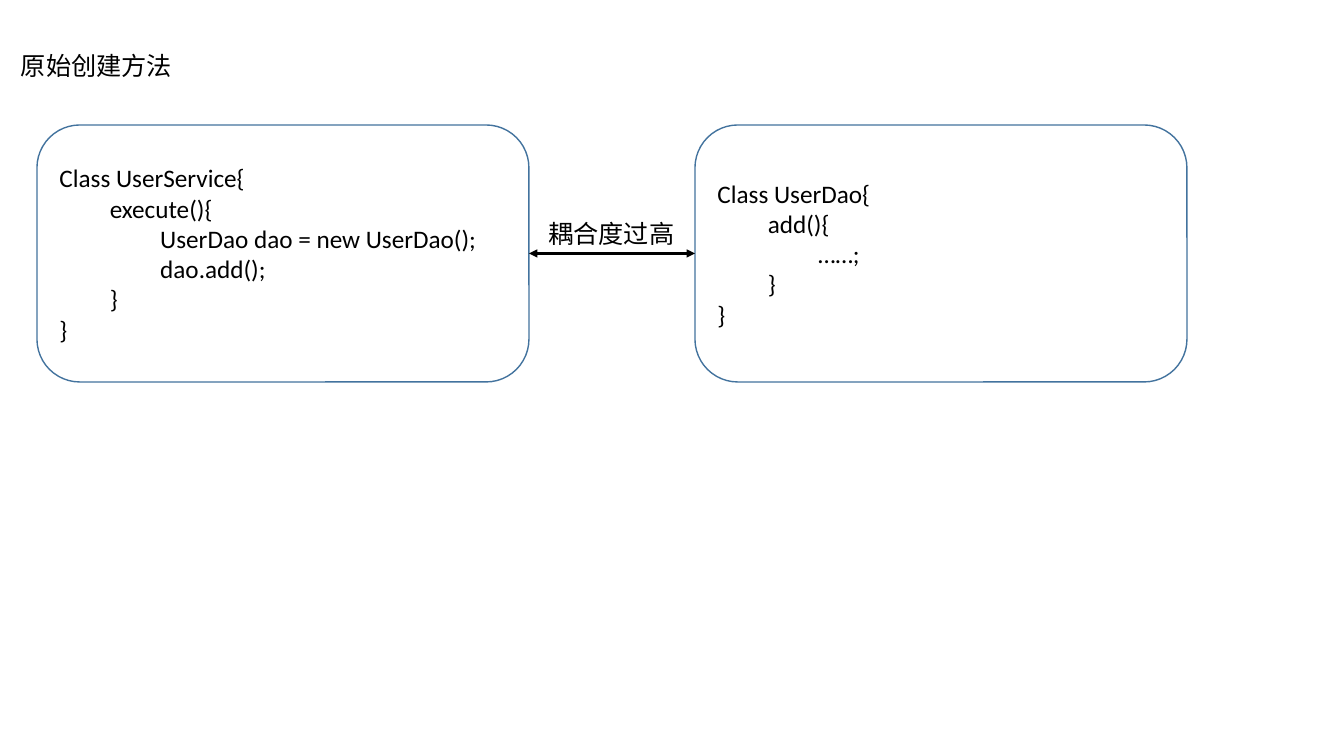
import pptx
import pptx.util
import pptx.dml.color
import pptx.enum.shapes
import pptx.enum.text
import pptx.oxml.ns
import lxml.etree

# Content: each code line is (indent level, text)
TITLE = "原始创建方法"
COUPLING = "耦合度过高"
CLASSES = [
    [
        (0, "Class UserService{"),
        (1, "execute(){"),
        (2, "UserDao dao = new UserDao();"),
        (2, "dao.add();"),
        (1, "}"),
        (0, "}"),
    ],
    [
        (0, "Class UserDao{"),
        (1, "add(){"),
        (2, "……;"),
        (1, "}"),
        (0, "}"),
    ],
]
COLORS = {"text": "000000", "fill": "FFFFFF", "border": "43739E", "arrow": "000000"}
FONT = "Calibri"

# Layout in px
SCALE = 914400 / 100.8
SLIDE_W, SLIDE_H = 1344, 756
BOX_LEFT, BOX_TOP, BOX_W, BOX_H = 37, 125, 492, 257
BOX_STEP = 658
LABEL_W, LABEL_H = 147, 40


def px(n):
    return pptx.util.Emu(round(n * SCALE))


def rgb(name):
    return pptx.dml.color.RGBColor.from_string(COLORS[name])


def write(shape, lines, size=18, color="text", wrap=True, anchor="TOP", grow=False):
    tf = shape.text_frame
    tf.word_wrap = wrap
    tf.vertical_anchor = getattr(pptx.enum.text.MSO_ANCHOR, anchor)
    if grow:
        tf.auto_size = pptx.enum.text.MSO_AUTO_SIZE.SHAPE_TO_FIT_TEXT
    for i, (level, text) in enumerate(lines):
        p = tf.add_paragraph() if i else tf.paragraphs[0]
        p.alignment = pptx.enum.text.PP_ALIGN.LEFT
        if level:
            p._p.get_or_add_pPr().set("indent", str(pptx.util.Inches(level * 0.5)))
        r = p.add_run()
        r.text = text
        r.font.name = FONT
        r.font.size = pptx.util.Pt(size)
        r.font.color.rgb = rgb(color)


prs = pptx.Presentation()
prs.slide_width, prs.slide_height = px(SLIDE_W), px(SLIDE_H)
s = prs.slides.add_slide(prs.slide_layouts[6])

# Title
title = s.shapes.add_textbox(px(11), px(45), px(254), px(LABEL_H))
write(title, [(0, TITLE)], grow=True)

# Class boxes
boxes = []
for i, code in enumerate(CLASSES):
    sp = s.shapes.add_shape(
        pptx.enum.shapes.MSO_SHAPE.ROUNDED_RECTANGLE,
        px(BOX_LEFT + i * BOX_STEP), px(BOX_TOP), px(BOX_W), px(BOX_H))
    sp.shadow.inherit = False
    sp.fill.solid()
    sp.fill.fore_color.rgb = rgb("fill")
    sp.line.color.rgb = rgb("border")
    sp.line.width = pptx.util.Pt(1)
    write(sp, code, anchor="MIDDLE")
    boxes.append(sp)

# Double-headed arrow between the boxes
arrow = s.shapes.add_connector(pptx.enum.shapes.MSO_CONNECTOR.STRAIGHT, 0, 0, 0, 0)
arrow.begin_connect(boxes[0], 3)
arrow.end_connect(boxes[1], 1)
arrow.line.color.rgb = rgb("arrow")
arrow.line.width = pptx.util.Pt(1.5)
ln = arrow.line._get_or_add_ln()
for end in ("a:headEnd", "a:tailEnd"):
    lxml.etree.SubElement(ln, pptx.oxml.ns.qn(end), type="triangle")
lxml.etree.SubElement(arrow._element.spPr, pptx.oxml.ns.qn("a:effectLst"))

# Label centred above the arrow
gap_mid = BOX_LEFT + (BOX_W + BOX_STEP) / 2
label = s.shapes.add_textbox(
    px(gap_mid - LABEL_W / 2), px(BOX_TOP + BOX_H / 2 - LABEL_H), px(LABEL_W), px(LABEL_H))
write(label, [(0, COUPLING)], wrap=False, grow=True)

prs.save("out.pptx")
